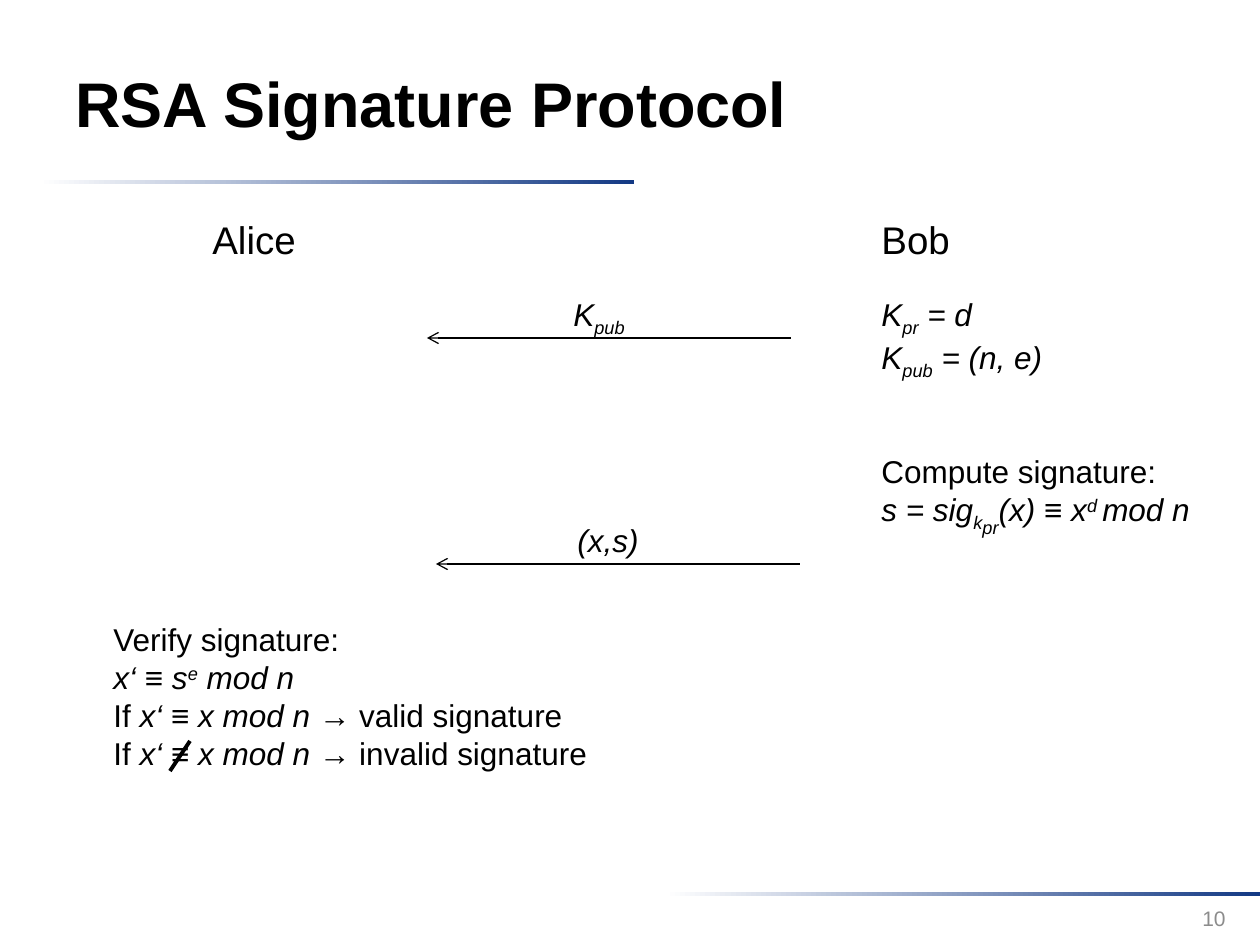
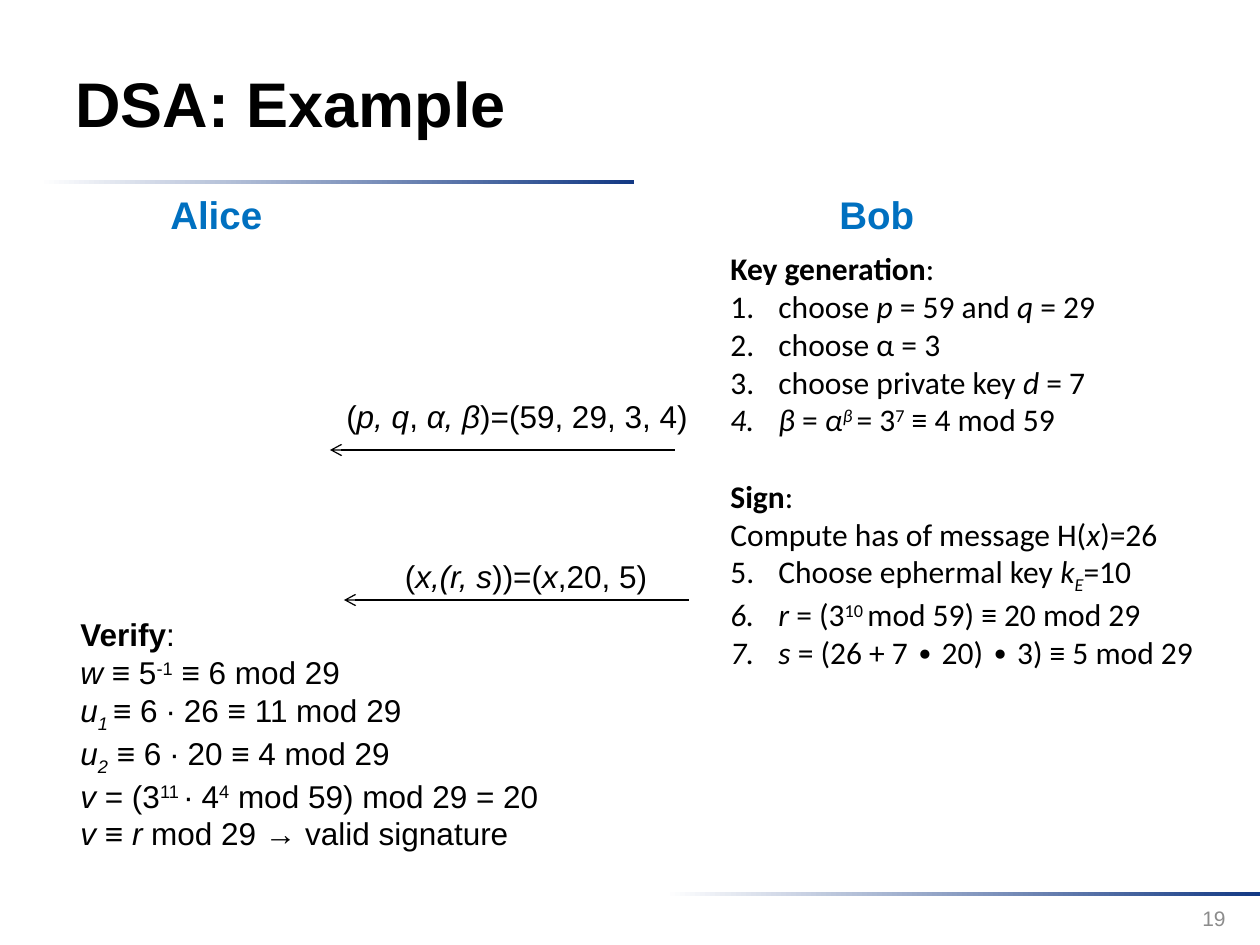
"""Build two slides on signature protocols between Alice and Bob."""
from dataclasses import dataclass
from typing import NamedTuple

from lxml import etree
from pptx import Presentation
from pptx import util as u
from pptx.dml import color
from pptx.enum import shapes, text
from pptx.oxml import ns

PX_PER_INCH = 126
BLACK, WHITE, NAVY, BLUE, GREY = "000000", "FFFFFF", "133984", "0070C0", "8C8C8C"
SUB, DEEP_SUB, SUP = -25, -40, 30
LIST_INDENT = 48
SIGN_GAP = 22


class Run(NamedTuple):
    """Piece of text with one style: letters b and i, and a baseline shift."""
    words: str
    style: str = ""
    shift: int = 0


class Line(NamedTuple):
    """One paragraph, numbered from `start` when that is set."""
    runs: list[Run]
    start: int = 0
    gap: int = 0


class Box(NamedTuple):
    """Place of an element in px."""
    left: int
    top: int
    width: int
    height: int


class Arrow(NamedTuple):
    """Message sent from Bob leftwards to Alice."""
    start: int
    end: int
    y: int


@dataclass
class Block:
    """Text box with its lines and common look."""
    box: Box
    lines: list[Line]
    size: int = 18
    font: str = "Arial"
    ink: str = BLACK
    align: text.PP_ALIGN = text.PP_ALIGN.LEFT
    anchor: text.MSO_ANCHOR = text.MSO_ANCHOR.TOP


def px(length: int) -> u.Emu:
    """Turn px into EMU."""
    return u.Emu(round(length * 914400 / PX_PER_INCH))


def rgb(value: str) -> color.RGBColor:
    """Turn a hex string into a colour."""
    return color.RGBColor.from_string(value)


def plain(words: str, style: str = "") -> list[Line]:
    """Return a single line of one run."""
    return [Line([Run(words, style)])]


def heading(name: str, left: int, top: int, width: int, style: str, ink: str) -> Block:
    """Return the name of a party above its column."""
    return Block(Box(left, top, width, 59), plain(name, style), size=22, ink=ink)


def message(box: Box, runs: list[Run]) -> Block:
    """Return a centred label above an arrow."""
    return Block(box, [Line(runs)], align=text.PP_ALIGN.CENTER)


def number_line(paragraph, start: int) -> None:
    """Give a paragraph an automatic number and a hanging indent."""
    props = paragraph._p.get_or_add_pPr()
    props.set("marL", str(px(LIST_INDENT)))
    props.set("indent", str(-px(LIST_INDENT)))
    bullet = etree.SubElement(props, ns.qn("a:buAutoNum"), type="arabicPeriod")
    if start > 1:
        bullet.set("startAt", str(start))


def draw_block(slide, block: Block) -> None:
    """Draw a text box run by run."""
    frame = slide.shapes.add_textbox(*map(px, block.box)).text_frame
    frame.word_wrap = True
    frame.vertical_anchor = block.anchor
    for index, line in enumerate(block.lines):
        paragraph = frame.add_paragraph() if index else frame.paragraphs[0]
        if line.start:
            number_line(paragraph, line.start)
        paragraph.alignment = block.align
        if line.gap:
            paragraph.space_before = u.Pt(line.gap)
        for part in line.runs:
            run = paragraph.add_run()
            run.text = part.words
            run.font.name = block.font
            run.font.size = u.Pt(block.size)
            run.font.bold = "b" in part.style
            run.font.italic = "i" in part.style
            run.font.color.rgb = rgb(block.ink)
            if part.shift:
                run._r.get_or_add_rPr().set("baseline", str(part.shift * 1000))


def draw_line(slide, start: tuple[int, int], end: tuple[int, int], width: float):
    """Draw a black straight line without shadow."""
    line = slide.shapes.add_connector(
        shapes.MSO_CONNECTOR.STRAIGHT, *map(px, start + end))
    line.line.color.rgb = rgb(BLACK)
    line.line.width = u.Pt(width)
    etree.SubElement(line._element.spPr, ns.qn("a:effectLst"))
    return line


def draw_arrow(slide, arrow: Arrow) -> None:
    """Draw a level line with an open head at its end."""
    line = draw_line(slide, (arrow.start, arrow.y), (arrow.end, arrow.y), 0.75)
    etree.SubElement(line.line._get_or_add_ln(), ns.qn("a:tailEnd"), type="arrow")


def draw_band(slide, box: Box) -> None:
    """Draw a thin band that fades from white to navy."""
    band = slide.shapes.add_shape(shapes.MSO_SHAPE.RECTANGLE, *map(px, box))
    band.shadow.inherit = False
    band.line.fill.background()
    band.fill.gradient()
    band.fill.gradient_angle = 0
    for stop, position, ink in zip(band.fill.gradient_stops, (0, 1), (WHITE, NAVY)):
        stop.position = position
        stop.color.rgb = rgb(ink)


def draw_slide(deck, title: str, number: int, blocks: list[Block], arrows: list[Arrow]):
    """Draw a slide with the common title, bands and page number."""
    slide = deck.slides.add_slide(deck.slide_layouts[6])
    for left, top in ((39, 180), (665, 892)):
        draw_band(slide, Box(left, top, 595, 4))
    middle = text.MSO_ANCHOR.MIDDLE
    draw_block(slide, Block(Box(63, 23, 974, 158), plain(title, "b"), size=36,
                            anchor=middle))
    draw_block(slide, Block(Box(944, 893, 294, 50), plain(str(number)), size=12,
                            ink=GREY, align=text.PP_ALIGN.RIGHT, anchor=middle))
    for arrow in arrows:
        draw_arrow(slide, arrow)
    for block in blocks:
        draw_block(slide, block)
    return slide


def draw_rsa(deck) -> None:
    """Draw the RSA signature protocol."""
    keys = [
        Line([Run("K", "i"), Run("pr", "i", SUB), Run(" = d", "i")]),
        Line([Run("K", "i"), Run("pub", "i", SUB), Run(" = (n, e)", "i")]),
    ]
    signature = [
        Line([Run("Compute signature:")]),
        Line([Run("s = sig", "i"), Run("k", "i", SUB), Run("pr", "i", DEEP_SUB),
              Run("(x) ≡ x", "i"), Run("d ", "i", SUP), Run("mod n", "i")]),
    ]
    verification = [
        Line([Run("Verify signature:")]),
        Line([Run("x‘ ≡ s", "i"), Run("e", "i", SUP), Run(" mod n", "i")]),
        *(Line([Run("If "), Run("x‘ ≡ x mod n ", "i"), Run(f"→ {verdict} signature")])
          for verdict in ("valid", "invalid")),
    ]
    blocks = [
        heading("Alice", 200, 210, 129, "", BLACK),
        heading("Bob", 869, 210, 256, "", BLACK),
        Block(Box(869, 289, 335, 89), keys),
        Block(Box(869, 446, 344, 89), signature),
        message(Box(476, 289, 246, 50), [Run("K", "i"), Run("pub", "i", SUB)]),
        message(Box(485, 515, 246, 50), [Run("(x,s)", "i")]),
        Block(Box(101, 614, 728, 165), verification),
    ]
    arrows = [Arrow(791, 427, 338), Arrow(800, 436, 564)]
    slide = draw_slide(deck, "RSA Signature Protocol", 10, blocks, arrows)
    draw_line(slide, (190, 741), (170, 771), 2.25)


def draw_dsa(deck) -> None:
    """Draw the DSA example with numbers."""
    bob_steps = [
        Line([Run("Key generation", "b"), Run(":")]),
        Line([Run("choose "), Run("p", "i"), Run(" = 59 and "), Run("q", "i"),
              Run(" = 29")], start=1),
        Line([Run("choose α = 3")], start=1),
        Line([Run("choose private key "), Run("d", "i"), Run(" = 7")], start=1),
        Line([Run("β", "i"), Run(" = "), Run("α", "i"), Run("β ", "i", SUP),
              Run("= 3"), Run("7", "", SUP), Run(" ≡ 4 mod 59")], start=1),
        Line([Run("Sign", "b"), Run(":")], gap=SIGN_GAP),
        Line([Run("Compute has of message H("), Run("x", "i"), Run(")=26")]),
        Line([Run("Choose ephermal key "), Run("k", "i"), Run("E", "i", SUB),
              Run("=10")], start=5),
        Line([Run("r", "i"), Run(" = (3"), Run("10 ", "", SUP),
              Run("mod 59) ≡ 20 mod 29")], start=5),
        Line([Run("s", "i"), Run(" = (26 + 7 ∙ 20) ∙ 3) ≡ 5 mod 29")], start=5),
    ]
    verification = [
        Line([Run("Verify", "b"), Run(":")]),
        Line([Run("w", "i"), Run(" ≡ 5"), Run("-1", "", SUP), Run(" ≡ 6 mod 29")]),
        Line([Run("u", "i"), Run("1 ", "i", SUB), Run("≡ 6 ∙ 26 ≡ 11 mod 29")]),
        Line([Run("u", "i"), Run("2", "i", SUB), Run(" ≡ 6 ∙ 20 ≡ 4 mod 29")]),
        Line([Run("v", "i"), Run(" = (3"), Run("11 ", "", SUP), Run("∙ 4"),
              Run("4", "", SUP), Run(" mod 59) mod 29 = 20")]),
        Line([Run("v", "i"), Run(" ≡ "), Run("r", "i"),
              Run(" mod 29 → valid signature")]),
    ]
    public_key = [Run("("), Run("p, q", "i"), Run(", "), Run("α, β", "i"),
                  Run(")=(59, 29, 3, 4)")]
    signed_message = [Run("("), Run("x,(r, s", "i"), Run("))=("), Run("x", "i"),
                      Run(",20, 5)")]
    blocks = [
        heading("Alice", 158, 185, 129, "b", BLUE),
        heading("Bob", 827, 185, 256, "b", BLUE),
        Block(Box(718, 243, 522, 459), bob_steps, font="Calibri"),
        message(Box(330, 391, 374, 50), public_key),
        message(Box(354, 551, 344, 50), signed_message),
        Block(Box(68, 609, 581, 242), verification),
    ]
    arrows = [Arrow(675, 330, 450), Arrow(689, 344, 600)]
    draw_slide(deck, "DSA: Example", 19, blocks, arrows)


def main() -> None:
    """Build and save the deck."""
    deck = Presentation()
    deck.slide_width, deck.slide_height = px(1260), px(945)
    draw_rsa(deck)
    draw_dsa(deck)
    deck.save("out.pptx")


if __name__ == "__main__":
    main()
